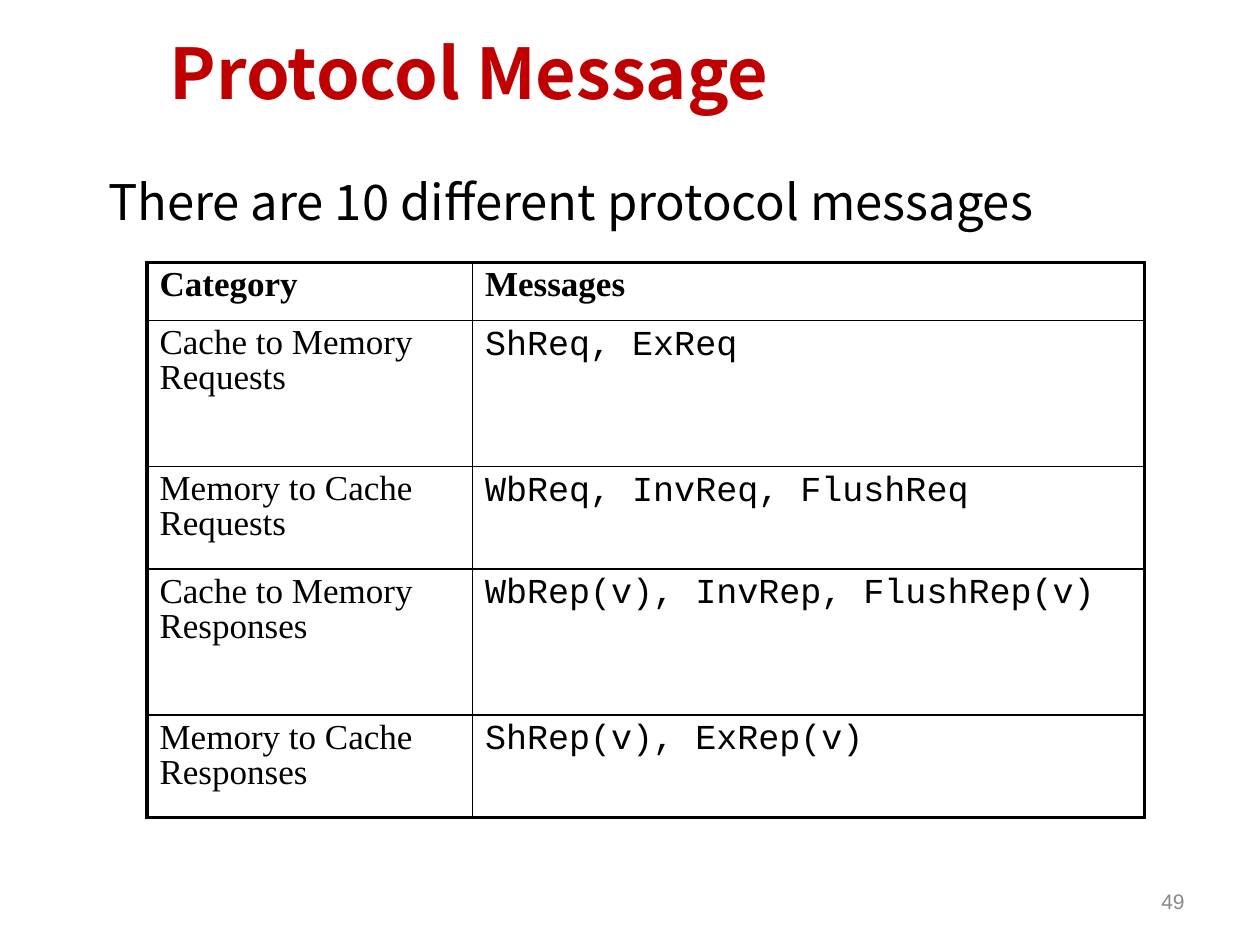
from lxml import etree
from pptx import Presentation
from pptx import util as u
from pptx.dml import color
from pptx.enum import text
from pptx.oxml import ns

Pt = u.Pt
ALIGN = text.PP_ALIGN
ANCHOR = text.MSO_ANCHOR

ROWS = [
    ("Category", "Messages"),
    ("Cache to Memory Requests", "ShReq, ExReq"),
    ("Memory to Cache Requests", "WbReq, InvReq, FlushReq"),
    ("Cache to Memory Responses", "WbRep(v), InvRep, FlushRep(v)"),
    ("Memory to Cache Responses", "ShRep(v), ExRep(v)"),
]
COLUMN_WIDTHS = [186, 384]
ROW_HEIGHTS = [33.1, 83.5, 58.5, 83.5, 58.5]
THIN, THICK = 1, 2.25


def rgb(value):
    return color.RGBColor.from_string(value)


def write(para, words, *, font, size, ink="000000", bold=False,
          align=ALIGN.LEFT, line_spacing=None):
    para.alignment = align
    if line_spacing:
        para.line_spacing = line_spacing
    span = para.add_run()
    span.text = words
    span.font.name = font
    span.font.size = Pt(size)
    span.font.bold = bold
    span.font.color.rgb = rgb(ink)


def set_borders(cell, widths, ink="000000"):
    """Draw the cell's left, right, top and bottom lines, in that order."""
    properties = cell._tc.get_or_add_tcPr()
    for index, (side, width) in enumerate(zip("LRTB", widths)):
        line = etree.Element(ns.qn(f"a:ln{side}"), w=str(Pt(width)))
        fill = etree.SubElement(line, ns.qn("a:solidFill"))
        etree.SubElement(fill, ns.qn("a:srgbClr"), val=ink)
        properties.insert(index, line)


class SlideBuilder:
    """Holds the table's fonts and the page being built."""

    serif = "Times New Roman"
    mono = "Courier New"
    table_size = 20

    def __init__(self, page):
        self.page = page

    def text_box(self, words, left, top, width, height,
                 anchor=ANCHOR.MIDDLE, **style):
        box = self.page.shapes.add_textbox(
            Pt(left), Pt(top), Pt(width), Pt(height))
        frame = box.text_frame
        frame.word_wrap = True
        frame.vertical_anchor = anchor
        write(frame.paragraphs[0], words, **style)

    def table(self, rows, left, top, widths, heights):
        table = self.page.shapes.add_table(
            len(rows), len(widths), Pt(left), Pt(top),
            Pt(sum(widths)), Pt(sum(heights))).table
        for column, width in zip(table.columns, widths):
            column.width = Pt(width)
        for row, height in zip(table.rows, heights):
            row.height = Pt(height)
        last_row, last_column = len(rows) - 1, len(widths) - 1
        for r, row in enumerate(rows):
            for c, words in enumerate(row):
                cell = table.cell(r, c)
                cell.fill.background()
                outer = (c == 0, c == last_column, r == 0, r == last_row)
                set_borders(cell, [THICK if edge else THIN for edge in outer])
                write(cell.text_frame.paragraphs[0], words,
                      font=self.mono if r and c else self.serif,
                      size=self.table_size, bold=r == 0, line_spacing=0.9,
                      align=ALIGN.JUSTIFY if c else ALIGN.LEFT)


def main():
    deck = Presentation()
    deck.slide_width, deck.slide_height = Pt(720), Pt(540)
    builder = SlideBuilder(deck.slides.add_slide(deck.slide_layouts[6]))
    builder.text_box("Protocol Message", 90, 0, 616, 82,
                     font="Noto Sans CJK KR", size=40, ink="C00000", bold=True)
    builder.text_box("49", 516, 500.5, 168, 29,
                     font="Arial", size=12, ink="898989", align=ALIGN.RIGHT)
    builder.table(ROWS, 84, 150, COLUMN_WIDTHS, ROW_HEIGHTS)
    builder.text_box("There are 10 different protocol messages",
                     54.75, 94.5, 605, 388, anchor=ANCHOR.TOP,
                     font="Noto Sans CJK SC", size=28)
    deck.save("out.pptx")


if __name__ == "__main__":
    main()
